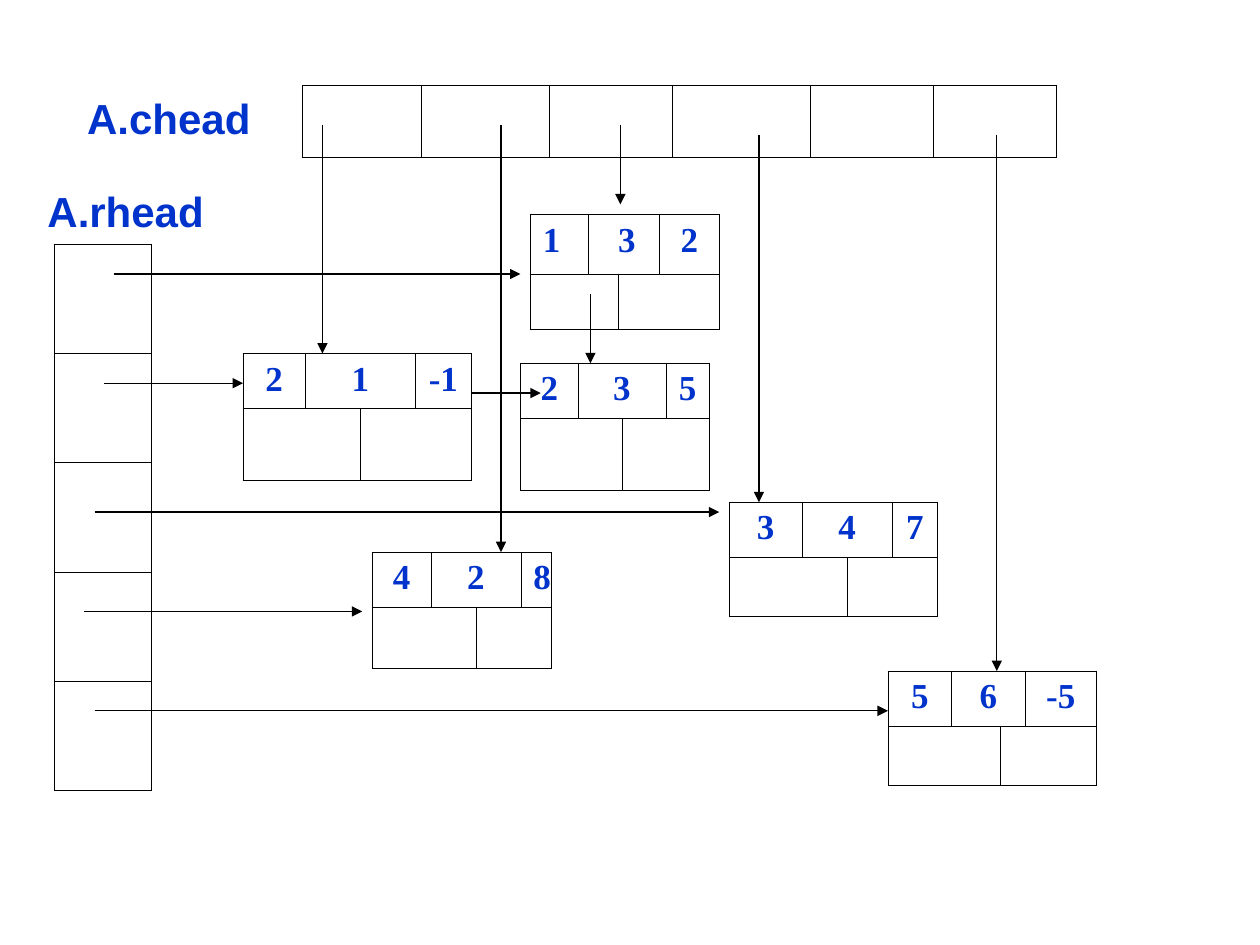
from lxml import etree
from pptx import Presentation
from pptx.dml.color import RGBColor
from pptx.enum.shapes import MSO_CONNECTOR
from pptx.enum.text import MSO_ANCHOR, MSO_AUTO_SIZE, PP_ALIGN
from pptx.oxml.ns import qn
from pptx.util import Pt

BLUE = RGBColor(0x00, 0x33, 0xCC)
BLACK = RGBColor(0x00, 0x00, 0x00)
LINE = MSO_CONNECTOR.STRAIGHT
MIDDLE = MSO_ANCHOR.MIDDLE
FIT = MSO_AUTO_SIZE.SHAPE_TO_FIT_TEXT
LEFT, CENTER = PP_ALIGN.LEFT, PP_ALIGN.CENTER
PAD = 7.2
SIDES = ("a:lnL", "a:lnR", "a:lnT", "a:lnB")


def write(frame, text, font="Times New Roman", size=20, align=CENTER):
    para = frame.paragraphs[0]
    para.alignment = align
    run = para.add_run()
    run.text = text
    run.font.name = font
    run.font.size = Pt(size)
    run.font.bold = True
    run.font.color.rgb = BLUE


def frame_cell(cell):
    """Give a cell thin black borders and no fill."""
    props = cell._tc.get_or_add_tcPr()
    for side in SIDES:
        edge = etree.SubElement(props, qn(side), w=str(Pt(0.45)))
        fill = etree.SubElement(edge, qn("a:solidFill"))
        etree.SubElement(fill, qn("a:srgbClr"), val=str(BLACK))
    cell.fill.background()


def add_grid(slide, left, top, cols, rows):
    table = slide.shapes.add_table(len(rows), len(cols), Pt(left), Pt(top),
                                   Pt(sum(cols)), Pt(sum(rows))).table
    table.first_row = table.horz_banding = False
    for col, width in zip(table.columns, cols):
        col.width = Pt(width)
    for row, height in zip(table.rows, rows):
        row.height = Pt(height)
    for cell in table.iter_cells():
        frame_cell(cell)
    return table


def add_node(slide, left, top, cols, rows, values, align=CENTER, shifts=(0, 0, 0)):
    """Row, column and value above the two link fields."""
    table = add_grid(slide, left, top, cols, rows)
    for row, first in ((0, 1), (1, 0), (1, 2)):
        table.cell(row, first).merge(table.cell(row, first + 1))
    for col, value, shift in zip((0, 1, 3), values, shifts):
        cell = table.cell(0, col)
        cell.margin_left = Pt(PAD + shift)
        write(cell.text_frame, value, align=align)


def add_label(slide, left, top, width, text):
    box = slide.shapes.add_textbox(Pt(left), Pt(top), Pt(width), Pt(36))
    frame = box.text_frame
    frame.word_wrap = False
    frame.auto_size = FIT
    frame.vertical_anchor = MIDDLE
    write(frame, text, font="Arial", size=24, align=LEFT)


def add_arrow(slide, x1, y1, x2, y2):
    arrow = slide.shapes.add_connector(LINE, Pt(x1), Pt(y1), Pt(x2), Pt(y2))
    arrow.line.color.rgb = BLACK
    arrow.line.width = Pt(0.75)
    etree.SubElement(arrow.line._get_or_add_ln(), qn("a:tailEnd"), type="triangle")
    etree.SubElement(arrow._element.spPr, qn("a:effectLst"))


def main():
    deck = Presentation()
    deck.slide_width, deck.slide_height = Pt(720), Pt(540)
    slide = deck.slides.add_slide(deck.slide_layouts[6])

    # Head arrays
    add_label(slide, 42.7, 49.2, 110, "A.chead")
    add_grid(slide, 172.8, 48.7, (68, 73.1, 70.2, 79, 70.4, 70.4), (41,))
    add_label(slide, 20, 102.5, 110, "A.rhead")
    add_grid(slide, 31, 139.6, (55.4,), (62.4,) * 5)

    # Nodes of the matrix
    add_node(slide, 303, 122.5, (33.1, 17.1, 23.5, 34.3), (34, 31.5),
             ("1", "3", "2"), align=LEFT, shifts=(0, 10, 5))
    nodes = (
        (138.9, 202, (35.5, 31.5, 31.5, 32), 41, ("2", "1", "-1")),
        (297.6, 207.6, (32.6, 25.2, 25.2, 24.7), 41, ("2", "3", "5")),
        (416.7, 287, (41.6, 25.8, 25.8, 25.8), 33.7, ("3", "4", "7")),
        (212.6, 315.5, (33.7, 25.7, 25.7, 17.2), 35, ("4", "2", "8")),
        (507.4, 383.4, (36.4, 27.7, 14.3, 40.7), 33.7, ("5", "6", "-5")),
    )
    for left, top, cols, links, values in nodes:
        add_node(slide, left, top, cols, (31.5, links), values)

    # Column links: x, start, end
    for x, start, end in (
        (184.3, 71.3, 202), (286.3, 71.3, 315.5), (354.5, 71.3, 116.8),
        (433.7, 77, 287), (569.6, 77, 383.4), (337.4, 168, 207.6),
    ):
        add_arrow(slide, x, start, x, end)

    # Row links: y, start, end
    for y, start, end in (
        (156.6, 65, 297.4), (219, 59.5, 138.9), (292.6, 54, 411),
        (349.4, 48.2, 207), (406.2, 54, 507.4), (224.6, 269.5, 309),
    ):
        add_arrow(slide, start, y, end, y)

    deck.save("out.pptx")


if __name__ == "__main__":
    main()
